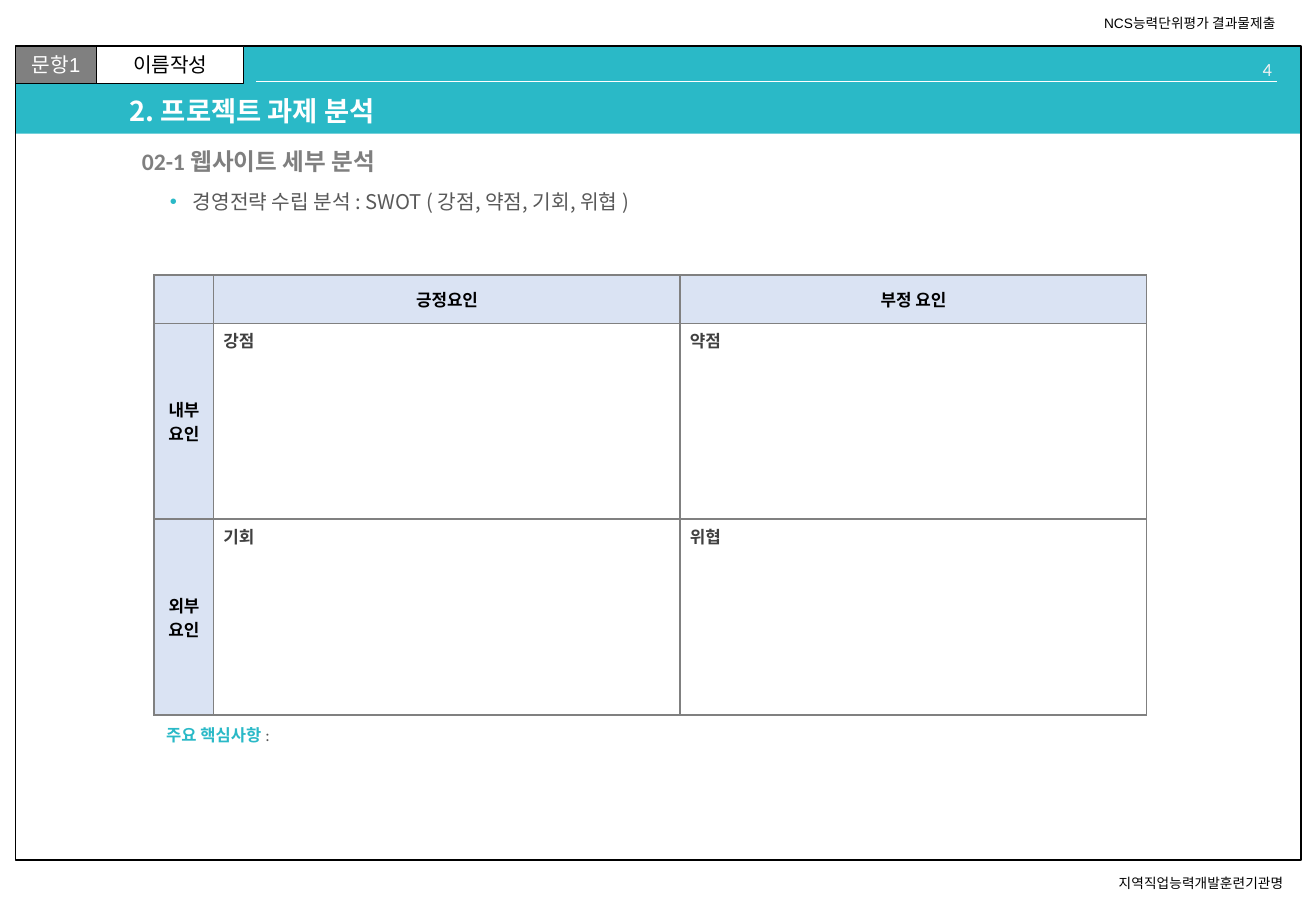
"""Build the SWOT analysis slide of the project report."""
import pptx
import pptx.dml.color
import pptx.enum.shapes
import pptx.enum.text
import pptx.oxml
import pptx.oxml.ns
import pptx.util
from lxml import etree

Pt = pptx.util.Pt
ALIGN = pptx.enum.text.PP_ALIGN
ANCHOR = pptx.enum.text.MSO_ANCHOR
FIT = pptx.enum.text.MSO_AUTO_SIZE
RECTANGLE = pptx.enum.shapes.MSO_SHAPE.RECTANGLE
STRAIGHT = pptx.enum.shapes.MSO_CONNECTOR.STRAIGHT
KOREAN = "Noto Sans CJK KR"
COLORS = {
    "teal": "2AB9C7", "black": "000000", "white": "FFFFFF", "gray": "808080",
    "pale": "F2F2F2", "heading": "7F7F7F", "body": "595959", "cell": "404040",
    "header": "DAE3F3",
}


class SlideBuilder:
    def __init__(self, slide, font="Calibri"):
        self.slide = slide
        self.font = font

    def rgb(self, name):
        return pptx.dml.color.RGBColor.from_string(COLORS[name])

    def element(self, parent, tag, **attributes):
        return etree.SubElement(parent, pptx.oxml.ns.qn(tag), **attributes)

    def span(self, para, text, size, color, bold=False, font=None):
        span = para.add_run()
        span.text = text
        span.font.size = Pt(size)
        span.font.bold = bold
        span.font.name = font or self.font
        span.font.color.rgb = self.rgb(color)
        self.element(span.font._element, "a:ea", typeface=KOREAN)

    def rect(self, left, top, width, height, fill=None, line=None, weight=1):
        box = self.slide.shapes.add_shape(
            RECTANGLE, Pt(left), Pt(top), Pt(width), Pt(height))
        box.shadow.inherit = False
        if fill:
            box.fill.solid()
            box.fill.fore_color.rgb = self.rgb(fill)
        else:
            box.fill.background()
        if line:
            box.line.color.rgb = self.rgb(line)
            box.line.width = Pt(weight)
        else:
            box.line.fill.background()
        return box

    def tab(self, left, width, text, fill, color):
        box = self.rect(left, 27.4, width, 22, fill, "black", 0.75)
        box.text_frame.vertical_anchor = ANCHOR.MIDDLE
        para = box.text_frame.paragraphs[0]
        para.alignment = ALIGN.CENTER
        self.span(para, text, 12, color, font="Arial")

    def text(self, left, top, width, height, spans, wrap=True,
             anchor=ANCHOR.TOP, align=ALIGN.LEFT):
        box = self.slide.shapes.add_textbox(
            Pt(left), Pt(top), Pt(width), Pt(height))
        frame = box.text_frame
        frame.word_wrap = wrap
        frame.auto_size = FIT.NONE if wrap else FIT.SHAPE_TO_FIT_TEXT
        frame.vertical_anchor = anchor
        para = frame.paragraphs[0]
        para.alignment = align
        for span in spans:
            self.span(para, *span)
        return para

    def bullet(self, para, indent, color):
        properties = para._p.get_or_add_pPr()
        properties.set("marL", str(Pt(indent)))
        properties.set("indent", str(-Pt(indent)))
        bullet_color = self.element(properties, "a:buClr")
        self.element(bullet_color, "a:srgbClr", val=COLORS[color])
        self.element(properties, "a:buFont", typeface="Arial")
        self.element(properties, "a:buChar", char="•")

    def line(self, left, right, top, color, weight):
        line = self.slide.shapes.add_connector(
            STRAIGHT, Pt(left), Pt(top), Pt(right), Pt(top))
        line.line.color.rgb = self.rgb(color)
        line.line.width = Pt(weight)
        self.element(line._element.spPr, "a:effectLst")

    def border(self, cell, color, weight):
        properties = cell._tc.get_or_add_tcPr()
        for index, side in enumerate(("a:lnL", "a:lnR", "a:lnT", "a:lnB")):
            edge = self.element(properties, side, w=str(Pt(weight)))
            fill = self.element(edge, "a:solidFill")
            self.element(fill, "a:srgbClr", val=COLORS[color])
            properties.insert(index, edge)

    def table(self, left, top, widths, heights, rows):
        table = self.slide.shapes.add_table(
            len(heights), len(widths), Pt(left), Pt(top),
            Pt(sum(widths)), Pt(sum(heights))).table
        for column, width in zip(table.columns, widths):
            column.width = Pt(width)
        for row, height in zip(table.rows, heights):
            row.height = Pt(height)
        for row_index, row in enumerate(rows):
            for column_index, text in enumerate(row):
                cell = table.cell(row_index, column_index)
                label = row_index == 0 or column_index == 0
                cell.margin_left = cell.margin_right = Pt(5.8)
                cell.margin_top = cell.margin_bottom = Pt(2.9)
                cell.fill.solid()
                cell.fill.fore_color.rgb = self.rgb("header" if label else "white")
                cell.vertical_anchor = ANCHOR.MIDDLE if label else ANCHOR.TOP
                self.border(cell, "gray", 1)
                if text:
                    para = cell.text_frame.paragraphs[0]
                    para.alignment = ALIGN.CENTER if label else ALIGN.LEFT
                    self.span(para, text, 10, "black" if label else "cell", True)


def main():
    deck = pptx.Presentation()
    deck.slide_width, deck.slide_height = Pt(780), Pt(540)
    page = SlideBuilder(deck.slides.add_slide(deck.slide_layouts[6]))

    page.rect(9, 27.4, 762, 51.8, "teal")
    page.rect(9.2, 27.4, 762, 482.4, line="black")
    page.text(656, 514.8, 121, 17.3,
              [("지역직업능력개발훈련기관명", 8.1, "black", False, "Arial")], wrap=False)
    page.text(647.3, 5, 123.8, 17.3,
              [("NCS능력단위평가 결과물제출", 8.1, "black", False, "Arial")], wrap=False)
    page.tab(9.2, 48.2, "문항1", "gray", "white")
    page.tab(57.4, 87.1, "이름작성", "white", "black")
    page.text(676, 31, 85, 14.4, [("4", 11, "pale")], align=ALIGN.RIGHT)
    page.line(152, 756.7, 48.2, "white", 0.5)

    title = page.text(69.8, 54.7, 630.7, 24.5,
                      [("2. 프로젝트 과제 분석", 16.2, "white", True, KOREAN)],
                      anchor=ANCHOR.MIDDLE)
    title.line_spacing = 0.9
    subtitle = page.text(77, 84.2, 623.5, 24.5,
                         [("02-1 웹사이트 세부 분석", 14, "heading", True)],
                         anchor=ANCHOR.MIDDLE)
    subtitle.line_spacing = 0.9
    subtitle.space_before = Pt(10)
    topic = page.text(93.6, 108.7, 607, 24.5,
                      [("경영전략 수립 분석 : SWOT ( 강점, 약점, 기회, 위협 )",
                        12, "body", False, KOREAN)])
    topic.space_before = Pt(3)
    page.bullet(topic, 13.7, "teal")

    page.table(91.4, 162.9, [35.3, 276.5, 276.5], [28.8, 116, 116], [
        ["", "긍정요인", "부정 요인"],
        ["내부요인", "강점", "약점"],
        ["외부요인", "기회", "위협"],
    ])
    page.text(91.4, 426.2, 588.3, 19.4,
              [("주요 핵심사항 ", 9.8, "teal", True), (":", 9.8, "body")])
    deck.save("out.pptx")


if __name__ == "__main__":
    main()
